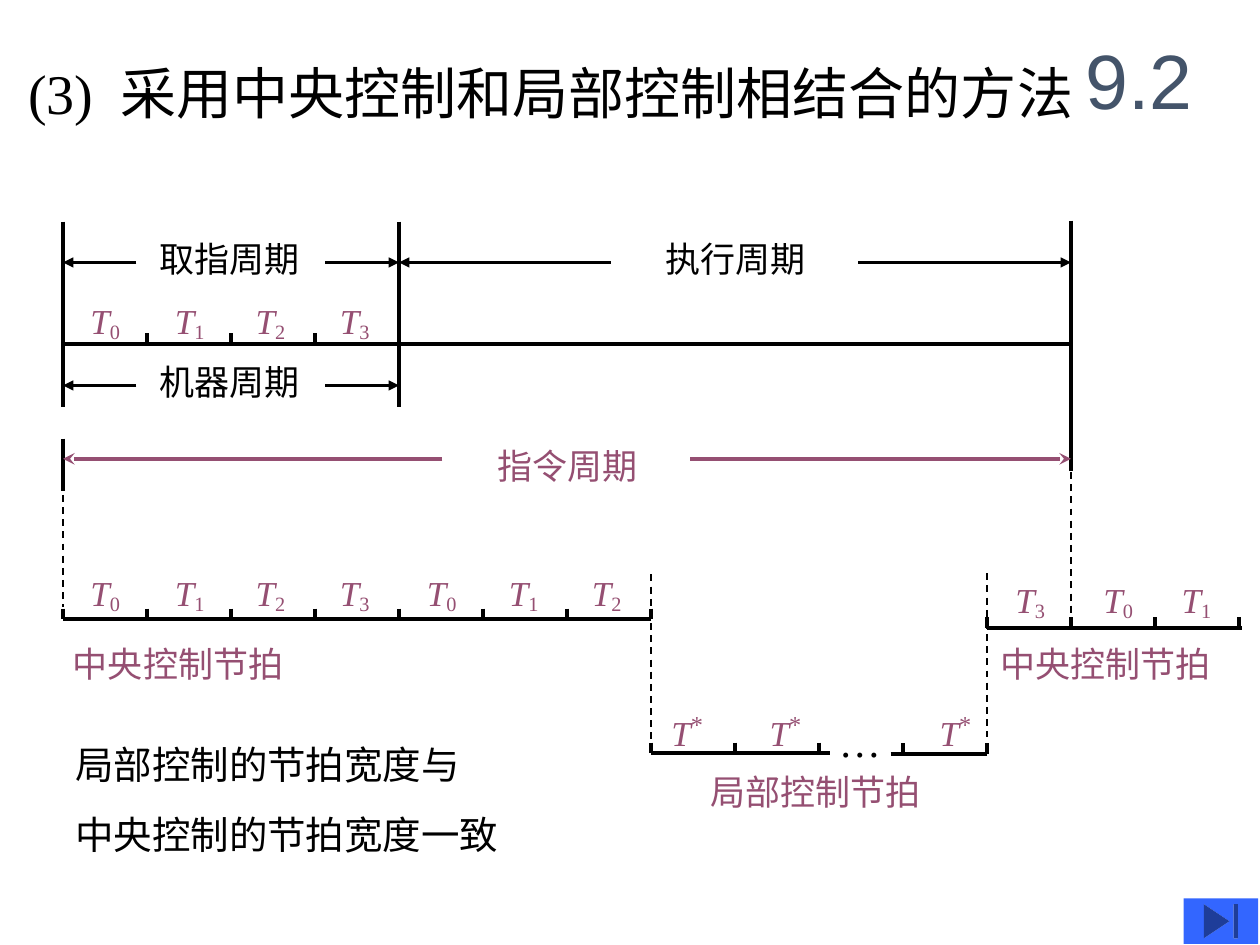
from dataclasses import dataclass

from lxml import etree
from pptx import Presentation
from pptx.dml.color import RGBColor
from pptx.enum.dml import MSO_LINE
from pptx.enum.shapes import MSO_CONNECTOR, MSO_SHAPE
from pptx.enum.text import MSO_ANCHOR, MSO_AUTO_SIZE, PP_ALIGN
from pptx.oxml.ns import qn
from pptx.util import Pt

STRAIGHT = MSO_CONNECTOR.STRAIGHT
DASH = MSO_LINE.DASH
END_BUTTON = MSO_SHAPE.ACTION_BUTTON_END
FIT_TEXT = MSO_AUTO_SIZE.SHAPE_TO_FIT_TEXT
FIXED_SIZE = MSO_AUTO_SIZE.NONE
MIDDLE = MSO_ANCHOR.MIDDLE
CENTER = PP_ALIGN.CENTER


@dataclass(frozen=True)
class Theme:
    ink: RGBColor = RGBColor(0x00, 0x00, 0x00)
    accent: RGBColor = RGBColor(0x95, 0x4F, 0x72)
    section: RGBColor = RGBColor(0x44, 0x54, 0x6A)
    button: RGBColor = RGBColor(0x33, 0x66, 0xFF)
    serif: str = "Times New Roman"
    sans: str = "Arial"
    title_size: int = 32
    section_size: int = 44
    note_size: int = 22
    label_size: int = 20
    star_size: int = 24
    heavy: float = 2.25
    medium: float = 1.5
    thin: float = 1


THEME = Theme()
START, BEAT = 36, 48  # left end of the time axis and width of one beat
TICK = 6
BEAT_LEFTS = (44.6, 92.9, 139, 187.2, 236.9, 283.7, 331.2)


def beat_x(count):
    """Position of the boundary after the given number of beats."""
    return START + BEAT * count


def add_line(slide, x1, y1, x2, y2, color=THEME.ink, width=THEME.heavy,
             dash=None, arrow=None):
    line = slide.shapes.add_connector(STRAIGHT, Pt(x1), Pt(y1), Pt(x2), Pt(y2))
    line.line.color.rgb = color
    line.line.width = Pt(width)
    if dash:
        line.line.dash_style = dash
    if arrow:
        etree.SubElement(line.line._get_or_add_ln(), qn("a:tailEnd"), type=arrow)
    etree.SubElement(line._element.spPr, qn("a:effectLst"))


def style(paragraph, size, color, font=THEME.serif):
    paragraph.font.size = Pt(size)
    paragraph.font.color.rgb = color
    paragraph.font.name = font


def add_frame(slide, left, top, width, height, wrap=False):
    frame = slide.shapes.add_textbox(Pt(left), Pt(top), Pt(width), Pt(height)).text_frame
    frame.word_wrap = wrap
    frame.auto_size = FIT_TEXT
    return frame


def add_label(slide, text, left, top, width, color=THEME.accent):
    paragraph = add_frame(slide, left, top, width, 31.7).paragraphs[0]
    paragraph.text = text
    style(paragraph, THEME.label_size, color)


def add_beat_name(slide, left, top, mark):
    """T with a subscript number, or with a raised star for a local beat."""
    is_star = mark == "*"
    height = 36 if is_star else 32.4
    paragraph = add_frame(slide, left, top, 44, height, wrap=True).paragraphs[0]
    letter, index = paragraph.add_run(), paragraph.add_run()
    letter.text, index.text = "T", mark
    style(paragraph, THEME.label_size, THEME.accent)
    letter.font.italic = True
    if is_star:
        index.font.size = Pt(THEME.star_size)
    index._r.get_or_add_rPr().set("baseline", "30000" if is_star else "-15000")


def add_beat_names(slide, lefts, top, marks):
    for left, mark in zip(lefts, marks):
        add_beat_name(slide, left, top, mark)


def add_axis(slide, x1, x2, y, ticks):
    add_line(slide, x1, y, x2, y)
    for count in ticks:
        add_line(slide, beat_x(count), y - TICK, beat_x(count), y)


def add_span(slide, left, right, y, gap, color=THEME.ink, width=THEME.medium,
             arrow="triangle"):
    """Two arrows pointing outwards from the gap kept for a label."""
    for inner, outer in zip(gap, (left, right)):
        add_line(slide, inner, y, outer, y, color, width, arrow=arrow)


def add_heading(slide):
    title = add_frame(slide, 9.1, 29.7, 612, 46).paragraphs[0]
    title.text = "(3)\t采用中央控制和局部控制相结合的方法"
    tabs = etree.SubElement(title._p.get_or_add_pPr(), qn("a:tabLst"))
    etree.SubElement(tabs, qn("a:tab"), pos=str(Pt(52.8)), algn="l")
    style(title, THEME.title_size, THEME.ink)

    frame = add_frame(slide, 605.8, 11.8, 90, 66.2, wrap=True)
    frame.auto_size = FIXED_SIZE
    frame.vertical_anchor = MIDDLE
    section = frame.paragraphs[0]
    section.text = "9.2"
    section.alignment = CENTER
    style(section, THEME.section_size, THEME.section, THEME.sans)


def add_guides(slide):
    for count, top, bottom in ((7, 328.3, 422.6), (11, 327.6, 421.2),
                               (12, 262.8, 352), (0, 262, 347)):
        add_line(slide, beat_x(count), top, beat_x(count), bottom,
                 width=THEME.thin, dash=DASH)


def add_instruction_cycle(slide):
    fetch_end, cycle_end = beat_x(4), beat_x(12)
    add_axis(slide, START, cycle_end, 196.5, range(1, 4))
    for x, top, bottom in ((START, 126.7, 232.6), (fetch_end, 126.7, 232.6),
                           (cycle_end, 126, 269.3), (START, 250.6, 280.8)):
        add_line(slide, x, top, x, bottom)
    add_span(slide, START, fetch_end, 150, (78, 186))
    add_span(slide, fetch_end, cycle_end, 150, (349, 490.5))
    add_span(slide, START, fetch_end, 220.3, (78, 186))
    add_span(slide, START, cycle_end, 262.2, (252.8, 394.5),
             THEME.accent, THEME.heavy, "stealth")
    add_label(slide, "取指周期", 84.2, 132.2, 94.3, THEME.ink)
    add_label(slide, "执行周期", 373, 132.2, 94.3, THEME.ink)
    add_label(slide, "机器周期", 84.2, 202.3, 94.3, THEME.ink)
    add_label(slide, "指令周期", 277.2, 250.6, 94.3)
    add_beat_names(slide, BEAT_LEFTS, 167.5, "0123")


def add_central_beats(slide):
    # Before local control
    add_axis(slide, START, beat_x(7), 353.8, range(8))
    add_beat_names(slide, BEAT_LEFTS, 322.8, "0123012")
    add_label(slide, "中央控制节拍", 34.6, 363.6, 134.6)
    # After local control
    add_axis(slide, beat_x(11), 709.6, 358.8, range(11, 15))
    add_beat_names(slide, (573.1, 623.5, 668.2), 326.9, "301")
    add_label(slide, "中央控制节拍", 564.5, 363.6, 134.6)


def add_local_beats(slide):
    add_axis(slide, beat_x(7), 474.5, 430.3, range(7, 10))
    add_axis(slide, 509, beat_x(11), 430.8, (10, 11))
    add_beat_names(slide, (376.6, 432.7, 529.9), 398.9, "***")
    add_label(slide, "局部控制节拍", 398.9, 437, 134.6)
    ellipsis = add_frame(slide, 472.3, 405.4, 56.9, 36, wrap=True).paragraphs[0]
    ellipsis.text = "…"
    style(ellipsis, THEME.star_size, THEME.ink)


def add_note(slide):
    frame = add_frame(slide, 36, 419.8, 354, 74, wrap=True)
    frame.text = "局部控制的节拍宽度与\n中央控制的节拍宽度一致"
    for line in frame.paragraphs:
        style(line, THEME.note_size, THEME.ink)
    frame.paragraphs[1].space_before = Pt(13.8)


def add_end_button(slide):
    button = slide.shapes.add_shape(END_BUTTON, Pt(676.4), Pt(513.4), Pt(42.5), Pt(26))
    button.shadow.inherit = False
    button.fill.solid()
    button.fill.fore_color.rgb = THEME.button
    button.line.fill.background()


def main():
    deck = Presentation()
    deck.slide_width, deck.slide_height = Pt(720), Pt(540)
    slide = deck.slides.add_slide(deck.slide_layouts[6])
    add_heading(slide)
    add_guides(slide)
    add_central_beats(slide)
    add_instruction_cycle(slide)
    add_note(slide)
    add_end_button(slide)
    add_local_beats(slide)
    deck.save("out.pptx")


if __name__ == "__main__":
    main()
